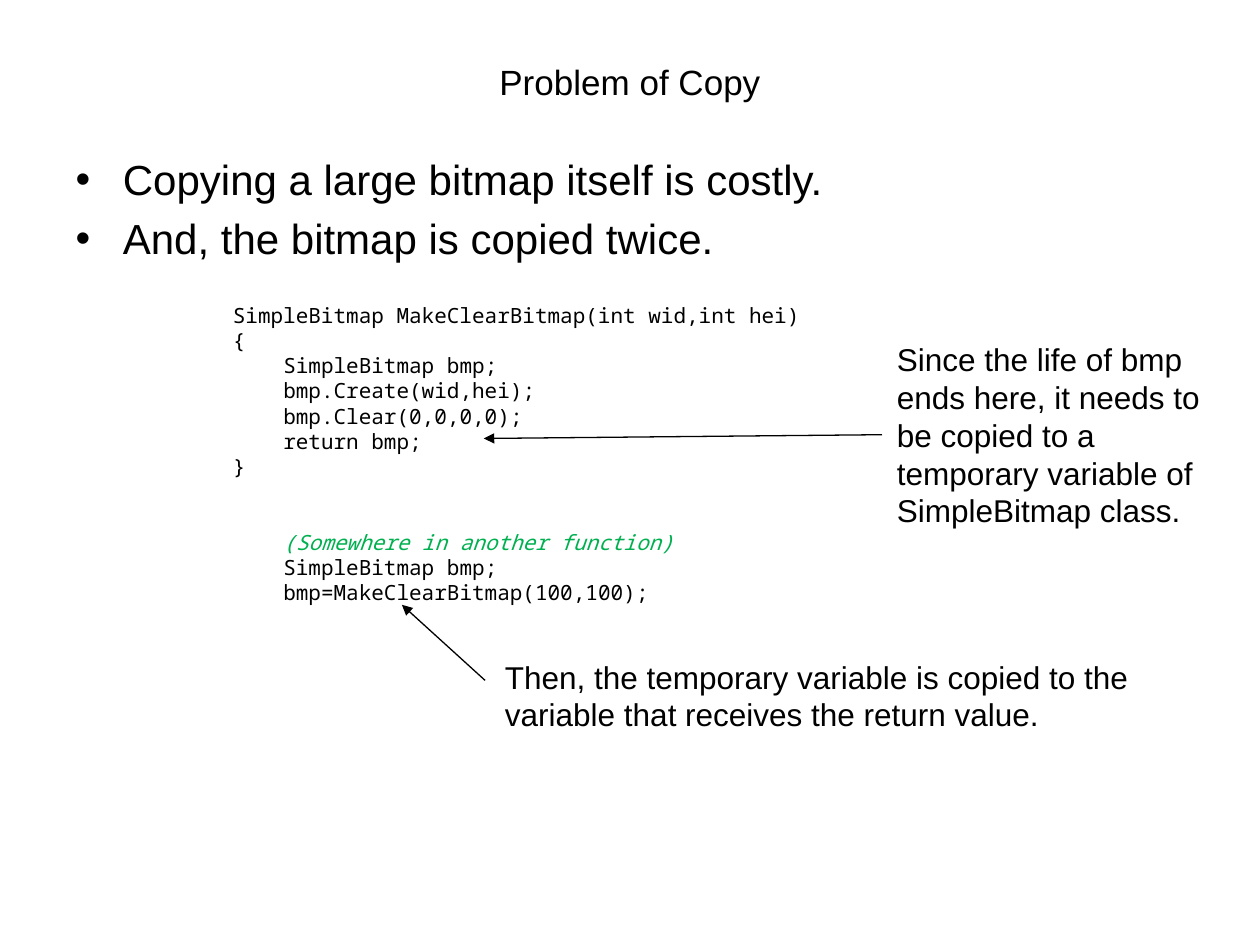
from pptx import Presentation
from pptx.dml.color import RGBColor as RGB
from pptx.enum.shapes import MSO_CONNECTOR as Conn
from pptx.oxml.ns import qn
from pptx.util import Inches, Pt
from lxml.etree import SubElement as Sub

THEME = {
    "sans": "Arial", "mono": "Noto Sans Mono",
    "ink": RGB(0, 0, 0), "green": RGB(0x00, 0xB0, 0x50),
    "title": 20, "body": 24, "note": 18, "code": 12,
}
TITLE = ["Problem of Copy"]
BODY = ["Copying a large bitmap itself is costly.",
        "And, the bitmap is copied twice."]
# (indent level, text)
CODE = [
    (0, "SimpleBitmap MakeClearBitmap(int wid,int hei)"),
    (0, "{"),
    (1, "SimpleBitmap bmp;"),
    (1, "bmp.Create(wid,hei);"),
    (1, "bmp.Clear(0,0,0,0);"),
    (1, "return bmp;"),
    (0, "}"),
    (1, "(Somewhere in another function)"),
    (1, "SimpleBitmap bmp;"),
    (1, "bmp=MakeClearBitmap(100,100);"),
]
REMARK = 7  # the code line shown as a comment, after a gap
GAP = Pt(28.8)  # two lines of code
TAB = Inches(0.4)  # four characters of code
NOTES = [
    ((7.02, 2.65, 2.9, 1.62),
     "Since the life of bmp ends here, it needs to be copied to a "
     "temporary variable of SimpleBitmap class."),
    ((3.91, 5.17, 5.97, 0.71),
     "Then, the temporary variable is copied to the variable that "
     "receives the return value."),
]
ARROWS = [(7, 3.45, 3.84, 3.48), (3.85, 5.4, 3.19, 4.8)]


def place(shape, box):
    shape.left, shape.top, shape.width, shape.height = map(Inches, box)


def write(shape, lines, size, face="sans"):
    frame = shape.text_frame
    frame.word_wrap = True
    frame.text = "\n".join(lines)
    for para in frame.paragraphs:
        font = para.font
        font.name, font.size = THEME[face], Pt(THEME[size])
        font.color.rgb = THEME["ink"]
    return frame.paragraphs


def add_text(slide, box, lines, size, face="sans"):
    shape = slide.shapes.add_textbox(*map(Inches, box))
    return write(shape, lines, size, face)


def add_code(slide, box):
    paras = add_text(slide, box, [text for _, text in CODE], "code", "mono")
    for para, (level, _) in zip(paras, CODE):
        para._p.get_or_add_pPr().set("marL", str(level * TAB))
    note = paras[REMARK]
    note.space_before = GAP
    note.font.italic = True
    note.font.color.rgb = THEME["green"]


def add_arrow(slide, ends):
    line = slide.shapes.add_connector(Conn.STRAIGHT, *map(Inches, ends))
    line.line.color.rgb = THEME["ink"]
    line.line.width = Pt(0.75)
    Sub(line.line._get_or_add_ln(), qn("a:tailEnd"), type="triangle")
    Sub(line._element.spPr, qn("a:effectLst"))


def main():
    deck = Presentation()
    deck.slide_width, deck.slide_height = Inches(10), Inches(7.5)
    slide = deck.slides.add_slide(deck.slide_layouts[1])
    title, body = slide.placeholders
    place(title, (0.5, 0.3, 9, 0.7))
    write(title, TITLE, "title")
    place(body, (0.5, 1.17, 9, 5.53))
    write(body, BODY, "body")
    add_code(slide, (1.75, 2.35, 6.1, 2.73))
    for box, text in NOTES:
        add_text(slide, box, [text], "note")
    for ends in ARROWS:
        add_arrow(slide, ends)
    deck.save("out.pptx")


if __name__ == "__main__":
    main()
